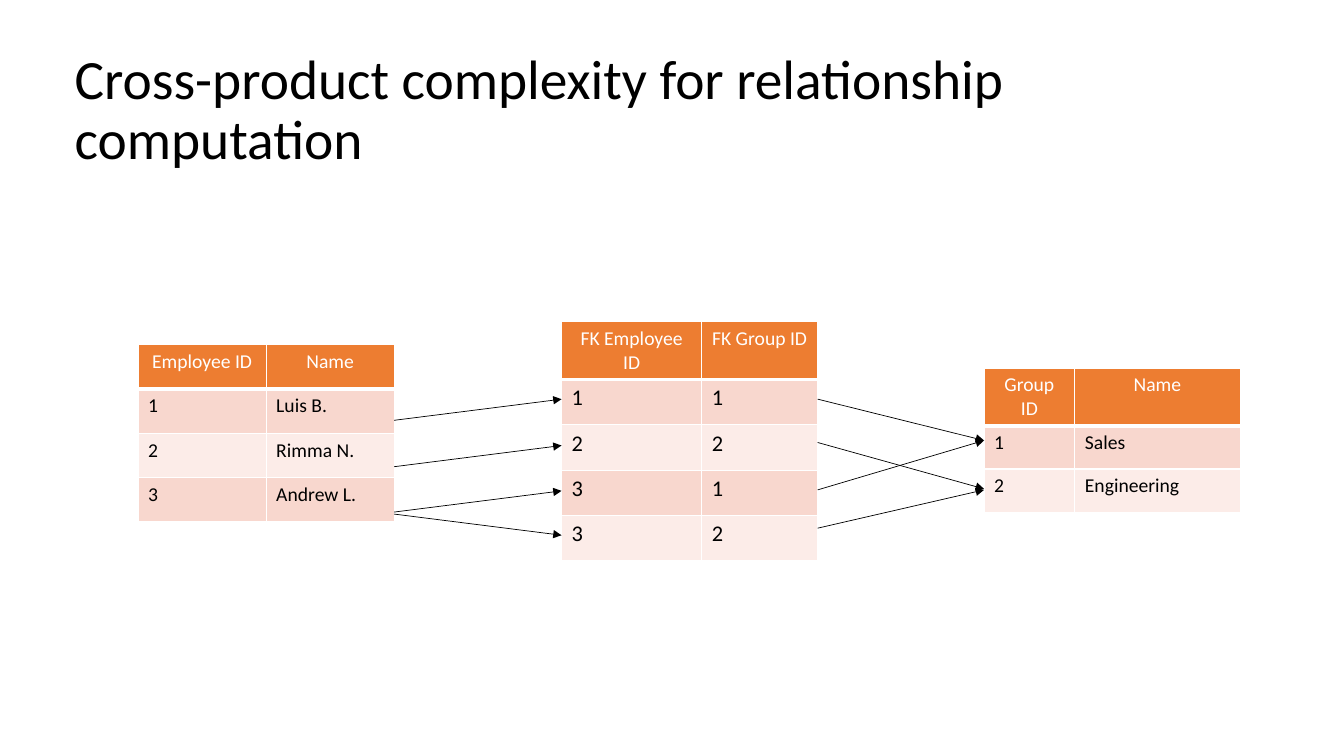
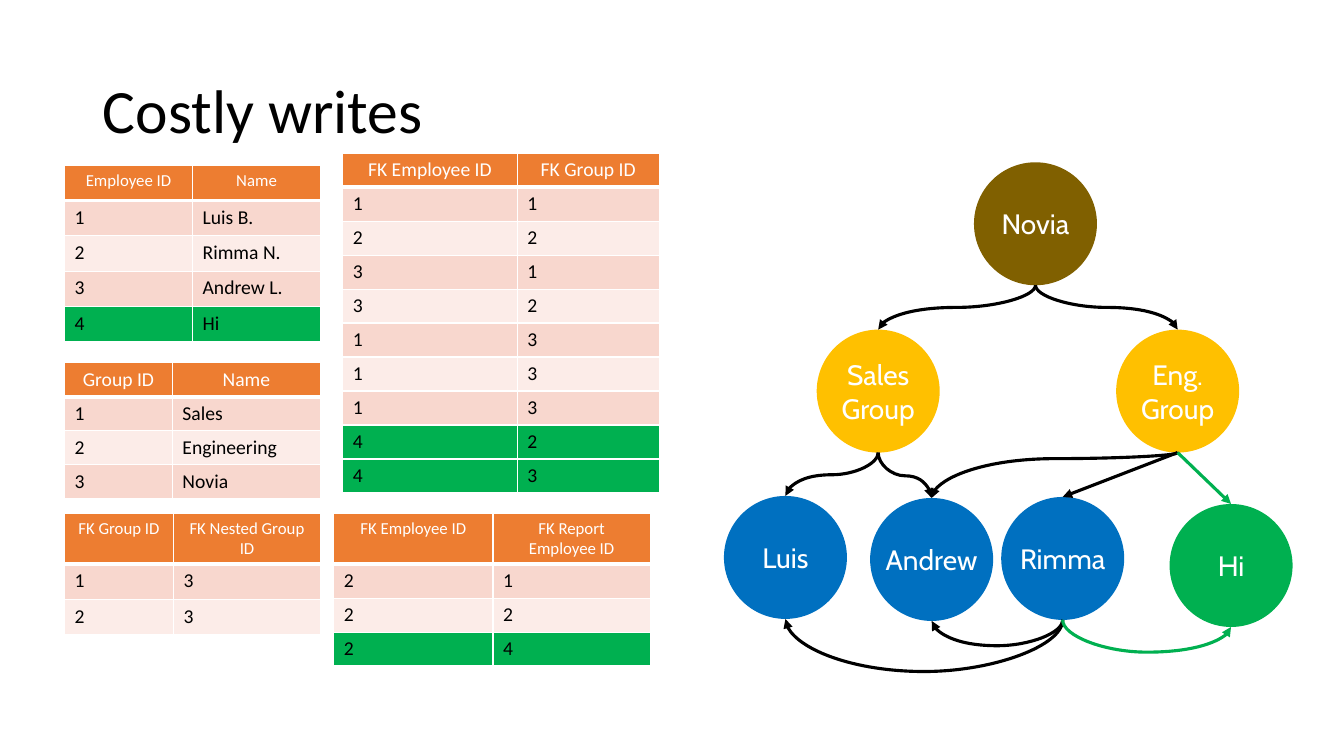
"""Build two slides on relationship tables and the graph they describe."""
import pptx
import pptx.dml.color
import pptx.enum.shapes
import pptx.enum.text
import pptx.oxml
import pptx.oxml.ns
import pptx.util

Inches = pptx.util.Inches
Pt = pptx.util.Pt
qn = pptx.oxml.ns.qn
ALIGN = pptx.enum.text.PP_ALIGN
CONNECTOR = pptx.enum.shapes.MSO_CONNECTOR

COLORS = {
    "white": "FFFFFF", "black": "000000", "header": "ED7D31",
    "band_dark": "F8D7CE", "band_light": "FCECE8", "new": "00B050",
    "root": "806000", "group": "FFC000", "person": "0070C0",
}
TEXT_FONT, GRAPH_FONT = "Calibri", "Cabin"
DIAMETER = 1.22

EMPLOYEES = [("1", "Luis B."), ("2", "Rimma N."), ("3", "Andrew L.")]
GROUPS = [("1", "Sales"), ("2", "Engineering")]
MEMBERSHIPS = [("1", "1"), ("2", "2"), ("3", "1"), ("3", "2")]
EMPLOYEE_HEADER = ("Employee ID", "Name")
GROUP_HEADER = ("Group ID", "Name")
MEMBERSHIP_HEADER = ("FK Employee ID", "FK Group ID")

JOIN = {
    "title": ("Cross-product complexity for relationship computation",
              (0.64, 0.5, 12.05, 1.21), 39.6),
    "tables": [
        dict(at=(1.37, 3.42), widths=(1.27, 1.27), heights=(0.44, 0.44),
             header=EMPLOYEE_HEADER, rows=EMPLOYEES),
        dict(at=(5.57, 3.19), widths=(1.39, 1.15), heights=(0.55, 0.45),
             header=MEMBERSHIP_HEADER, rows=MEMBERSHIPS, body_size=16),
        dict(at=(9.76, 3.65), widths=(0.9, 1.64), heights=(0.49, 0.43),
             header=GROUP_HEADER, rows=GROUPS),
    ],
}
JOIN_ARROWS = [
    (3.91, 5.57, [(4.17, 3.96), (4.63, 4.42), (5.08, 4.87), (5.1, 5.31)]),
    (8.11, 9.76, [(3.96, 4.37), (4.39, 4.85), (4.86, 4.37), (5.24, 4.86)]),
]

WRITES = {
    "title": ("Costly writes", (0.92, 0.4, 11.5, 1.45), 44),
    "tables": [
        dict(at=(0.64, 1.64), widths=(1.27, 1.27), heights=(0.35, 0.35),
             header=EMPLOYEE_HEADER, rows=EMPLOYEES + [("4", "Hi")],
             header_size=12, new_rows=1),
        dict(at=(3.4, 1.52), widths=(1.73, 1.41), heights=(0.26, 0.29),
             header=MEMBERSHIP_HEADER,
             rows=MEMBERSHIPS + [("1", "3")] * 3 + [("4", "2"), ("4", "3")],
             new_rows=2),
        dict(at=(0.64, 3.6), widths=(1.07, 1.47), heights=(0.33, 0.3),
             header=GROUP_HEADER, rows=GROUPS + [("3", "Novia")]),
        dict(at=(0.64, 5.09), widths=(1.08, 1.46), heights=(0.46, 0.35),
             header=("FK Group ID", "FK Nested Group ID"),
             rows=[("1", "3"), ("2", "3")], header_size=12),
        dict(at=(3.31, 5.09), widths=(1.58, 1.56), heights=(0.41, 0.3),
             header=("FK Employee ID", "FK Report Employee ID"),
             rows=[("2", "1"), ("2", "2"), ("2", "4")],
             header_size=12, new_rows=1),
    ],
}
NODES = {
    "root": (9.66, 1.61, "root", ["Novia"]),
    "sales": (8.1, 3.27, "group", ["Sales", "Group"]),
    "eng": (11.07, 3.27, "group", ["Eng.", "Group"]),
    "luis": (7.18, 4.92, "person", ["Luis"]),
    "andrew": (8.63, 4.94, "person", ["Andrew"]),
    "rimma": (9.93, 4.93, "person", ["Rimma"]),
    "hi": (11.6, 5, "new", ["Hi"]),
}
STRAIGHT_EDGES = [("eng", "rimma", "black"), ("eng", "hi", "new")]
MEMBER_CURVES = [("root", "sales", 3.05), ("root", "eng", 3.05),
                 ("sales", "luis", 4.71), ("sales", "andrew", 4.72),
                 ("eng", "andrew", 4.55)]
REPORT_CURVES = [("rimma", "andrew", 6.41, "black"),
                 ("rimma", "luis", 6.67, "black"),
                 ("rimma", "hi", 6.47, "new")]


def rgb(name):
    return pptx.dml.color.RGBColor.from_string(COLORS[name])


def add_text(paragraph, text, size, color, font=TEXT_FONT, align=ALIGN.LEFT):
    paragraph.alignment = align
    run = paragraph.add_run()
    run.text = text
    run.font.name, run.font.size, run.font.bold = font, Pt(size), False
    run.font.color.rgb = rgb(color)


def add_title(slide, text, box, size):
    title = slide.shapes.title
    title.left, title.top, title.width, title.height = map(Inches, box)
    frame = title.text_frame
    frame.auto_size = pptx.enum.text.MSO_AUTO_SIZE.NONE
    frame.vertical_anchor = pptx.enum.text.MSO_ANCHOR.MIDDLE
    frame.paragraphs[0].line_spacing = 0.9
    add_text(frame.paragraphs[0], text, size, "black")


def set_borders(cell, widths):
    properties = cell._tc.get_or_add_tcPr()
    for position, (side, width) in enumerate(widths.items()):
        properties.insert(position, pptx.oxml.parse_xml(
            f'<a:{side} {pptx.oxml.ns.nsdecls("a")} w="{Pt(width)}">'
            f'<a:solidFill><a:srgbClr val="{COLORS["white"]}"/></a:solidFill>'
            f'</a:{side}>'))


def add_grid(slide, at, widths, heights, header, rows,
             header_size=14, body_size=14, new_rows=0):
    header_height, row_height = heights
    total = header_height + row_height * len(rows)
    grid = slide.shapes.add_table(
        len(rows) + 1, len(header), *map(Inches, (*at, sum(widths), total))).table
    for column, width in zip(grid.columns, widths):
        column.width = Inches(width)
    for r, values in enumerate([header, *rows]):
        grid.rows[r].height = Inches(row_height if r else header_height)
        if r == 0:
            fill, style = "header", (header_size, "white", TEXT_FONT, ALIGN.CENTER)
            borders = {"lnL": 1, "lnR": 1, "lnT": 1, "lnB": 3}
        else:
            fill = "band_dark" if r % 2 else "band_light"
            fill = "new" if r > len(rows) - new_rows else fill
            style = (body_size, "black")
            borders = {"lnL": 1, "lnR": 1, "lnB": 1}
        for c, value in enumerate(values):
            cell = grid.cell(r, c)
            cell.fill.solid()
            cell.fill.fore_color.rgb = rgb(fill)
            add_text(cell.text_frame.paragraphs[0], value, *style)
            set_borders(cell, borders)


def add_arrow(slide, start, end, color="black", width=2.25, kind=CONNECTOR.STRAIGHT):
    arrow = slide.shapes.add_connector(kind, *map(Inches, (*start, *end)))
    arrow.line.color.rgb = rgb(color)
    arrow.line.width = Pt(width)
    head = pptx.oxml.parse_xml(
        f'<a:tailEnd {pptx.oxml.ns.nsdecls("a")} type="triangle"/>')
    arrow.line._get_or_add_ln().append(head)
    arrow._element.spPr.append(pptx.oxml.parse_xml(
        f'<a:effectLst {pptx.oxml.ns.nsdecls("a")}/>'))
    return arrow


def add_curve(slide, start, end, bend_y, color="black"):
    """Turn a curved connector so that it leaves and arrives vertically."""
    (x0, y0), (x1, y1) = start, end
    across, down = abs(x1 - x0), abs(y1 - y0)
    curve = add_arrow(slide, start, end, color, kind=CONNECTOR.CURVE)
    curve.left = Inches((x0 + x1 - down) / 2)
    curve.top = Inches((y0 + y1 - across) / 2)
    curve.width, curve.height = Inches(down), Inches(across)
    properties = curve._element.spPr
    frame = properties.find(qn("a:xfrm"))
    for flip in ("flipH", "flipV"):
        frame.attrib.pop(flip, None)
    rightward, downward = x1 > x0, y1 > y0
    frame.set("rot", str((270 if rightward else 90) * 60000))
    if rightward == downward:
        frame.set("flipH", "1")
    bend = round((bend_y - y0) / (y1 - y0) * 100000)
    adjustments = properties.find(qn("a:prstGeom")).get_or_add_avLst()
    adjustments.append(pptx.oxml.parse_xml(
        f'<a:gd {pptx.oxml.ns.nsdecls("a")} name="adj1" fmla="val {bend}"/>'))


def add_node(slide, left, top, color, lines):
    node = slide.shapes.add_shape(
        pptx.enum.shapes.MSO_SHAPE.OVAL,
        *map(Inches, (left, top, DIAMETER, DIAMETER)))
    node.shadow.inherit = False
    node.fill.solid()
    node.fill.fore_color.rgb = rgb(color)
    node.line.fill.background()
    frame = node.text_frame
    frame.word_wrap = False
    frame.vertical_anchor = pptx.enum.text.MSO_ANCHOR.MIDDLE
    frame.margin_left = frame.margin_right = 0
    frame.margin_top = frame.margin_bottom = 0
    for i, line in enumerate(lines):
        paragraph = frame.add_paragraph() if i else frame.paragraphs[0]
        add_text(paragraph, line, 20, "white", GRAPH_FONT, ALIGN.CENTER)


def top_of(name):
    left, top = NODES[name][:2]
    return left + DIAMETER / 2, top


def bottom_of(name):
    x, top = top_of(name)
    return x, top + DIAMETER


def add_slide(deck, content):
    slide = deck.slides.add_slide(deck.slide_layouts[5])
    add_title(slide, *content["title"])
    for table in content["tables"]:
        add_grid(slide, **table)
    return slide


def main():
    deck = pptx.Presentation()
    deck.slide_width, deck.slide_height = Inches(13.33), Inches(7.5)

    join = add_slide(deck, JOIN)
    for x0, x1, levels in JOIN_ARROWS:
        for y0, y1 in levels:
            add_arrow(join, (x0, y0), (x1, y1), width=0.5)

    writes = add_slide(deck, WRITES)
    for node in NODES.values():
        add_node(writes, *node)
    for parent, child, bend_y in MEMBER_CURVES:
        add_curve(writes, bottom_of(parent), top_of(child), bend_y)
    for parent, child, color in STRAIGHT_EDGES:
        add_arrow(writes, bottom_of(parent), top_of(child), color)
    for manager, report, bend_y, color in REPORT_CURVES:
        add_curve(writes, bottom_of(manager), bottom_of(report), bend_y, color)

    deck.save("out.pptx")


if __name__ == "__main__":
    main()
